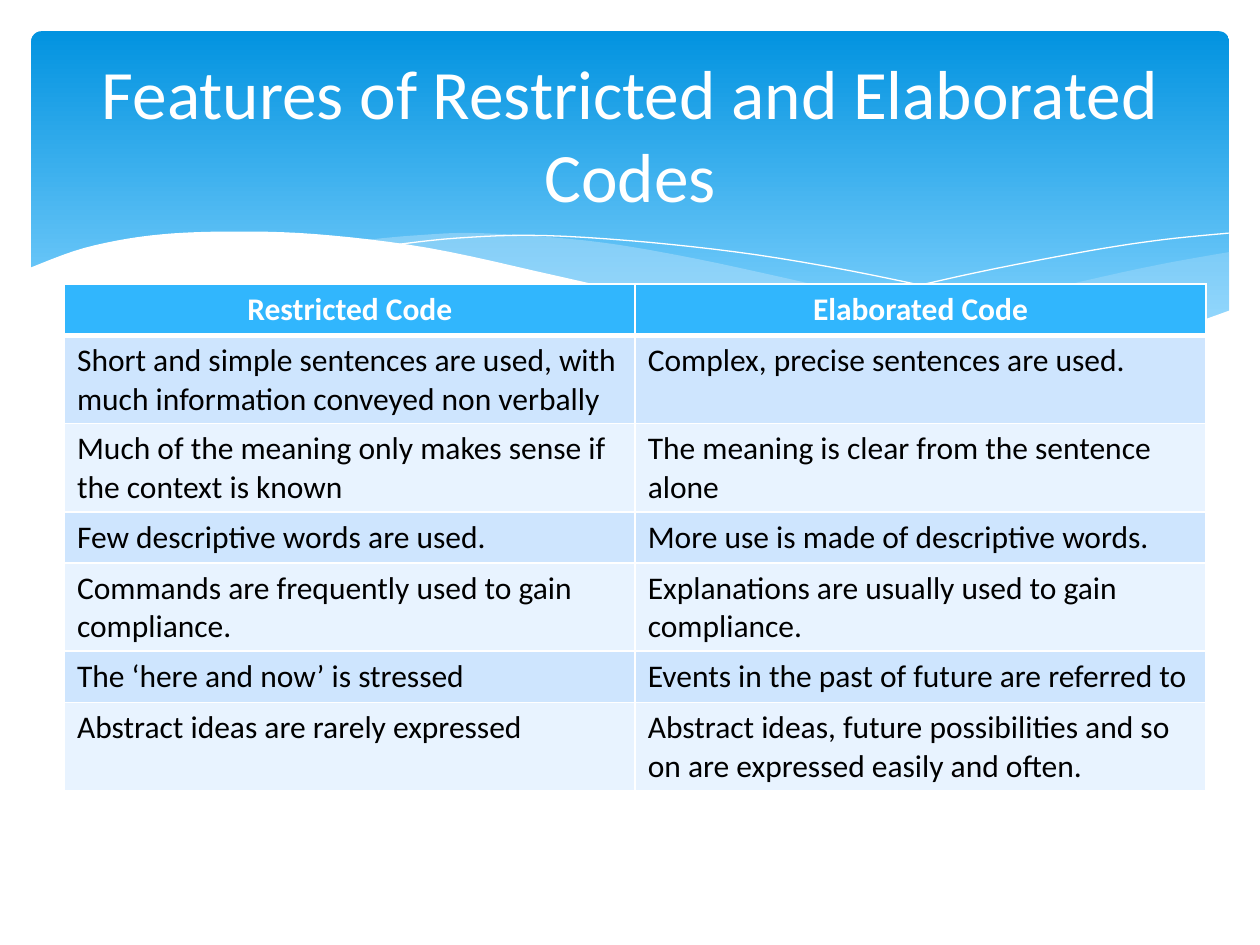
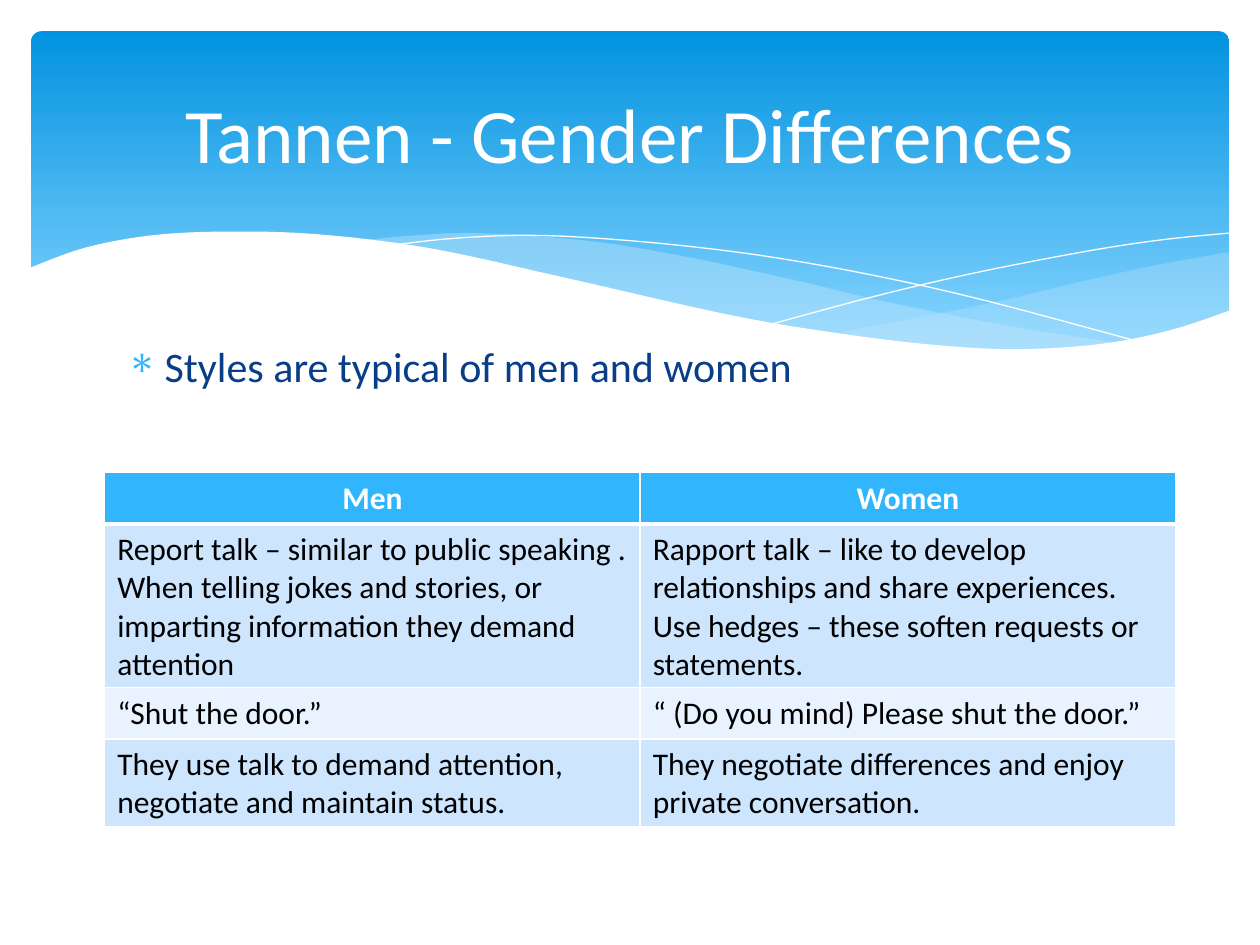
"""Build two slides comparing language codes and gendered talk under a shared wave banner."""
import pptx
import pptx.dml.color
import pptx.enum.shapes
import pptx.enum.text
import pptx.oxml
import pptx.oxml.ns
import pptx.util
from pptx.util import Cm

COLOURS = {
    "white": "FFFFFF",
    "black": "000000",
    "banner_top": "0293E0",
    "banner_bottom": "83D3FE",
    "swell": "C6E7FC",
    "accent": "31B6FD",
    "body": "073E87",
    "band_dark": "CEE5FE",
    "band_light": "E8F3FF",
}
FONT = "Calibri"

RIGHT_SWELL = [
    [(24.79, 5.08), (23.39, 5.33), (21.87, 5.66), (19.79, 6.15), (16.79, 6.73)],
    [(16.79, 6.73), (18.26, 6.91), (20.4, 7.06), (22.38, 6.93), (23.75, 6.65), (24.79, 6.27)],
]
MIDDLE_SWELL = [
    [(22.68, 6.93), (20.5, 6.6), (17.93, 6.1), (15.98, 5.64), (13.74, 5.16),
     (11.81, 4.85), (9.65, 4.7), (8.33, 4.75), (7.26, 4.85)],
    [(7.26, 4.85), (9.19, 5.16), (11.4, 5.64), (14.38, 6.3), (16.51, 6.71),
     (18.69, 6.99), (20.5, 7.06), (22.68, 6.93)],
]
FALLING_LINE = [
    [(7.85, 4.95), (9.22, 4.8), (11, 4.75), (13.54, 4.93), (16.15, 5.28), (19.3, 5.92), (23.04, 6.91)],
]
RISING_LINE = [
    [(15.57, 6.53), (17.65, 5.97), (19.71, 5.49), (22, 5.05), (23.47, 4.83), (24.77, 4.7)],
]
WHITE_WAVE = [
    [(24.82, 6.25), (23.62, 6.65), (22.23, 6.93), (20.55, 7.04), (18.9, 6.96),
     (16.97, 6.73), (14.71, 6.35), (11.35, 5.59), (8.64, 5), (6.35, 4.72),
     (4.5, 4.67), (3.02, 4.75), (1.7, 5), (0.58, 5.41)],
    [(0.58, 8.36)],
    [(24.82, 8.36)],
]

CODE_ROWS = [
    ("Restricted Code", "Elaborated Code"),
    ("Short and simple sentences are used, with much information conveyed non verbally",
     "Complex, precise sentences are used."),
    ("Much of the meaning only makes sense if the context is known",
     "The meaning is clear from the sentence alone"),
    ("Few descriptive words are used.", "More use is made of descriptive words."),
    ("Commands are frequently used to gain compliance.",
     "Explanations are usually used to gain compliance."),
    ("The ‘here and now’ is stressed", "Events in the past of future are referred to"),
    ("Abstract ideas are rarely expressed",
     "Abstract ideas, future possibilities and so on are expressed easily and often."),
]
GENDER_ROWS = [
    ("Men", "Women"),
    ("Report talk – similar to public speaking . When telling jokes and stories, "
     "or imparting information they demand attention",
     "Rapport talk – like to develop relationships and share experiences. "
     "Use hedges – these soften requests or statements."),
    ("“Shut the door.”", "“ (Do you mind) Please shut the door.”"),
    ("They use talk to demand attention, negotiate and maintain status.",
     "They negotiate differences and enjoy private conversation."),
]


def colour(name):
    return pptx.dml.color.RGBColor.from_string(COLOURS[name])


def smooth(knots, steps=6):
    padded = [knots[0], *knots, knots[-1]]
    points = [knots[0]]
    for before, start, end, after in zip(padded, padded[1:], padded[2:], padded[3:]):
        for step in range(1, steps + 1):
            t = step / steps
            points.append(tuple(
                (2 * b + (c - a) * t + (2 * a - 5 * b + 4 * c - d) * t ** 2
                 + (3 * b - a - 3 * c + d) * t ** 3) / 2
                for a, b, c, d in zip(before, start, end, after)))
    return points


def add_element(parent, tag, **attributes):
    element = pptx.oxml.parse_xml(f"<a:{tag} {pptx.oxml.ns.nsdecls('a')}/>")
    for name, value in attributes.items():
        element.set(name, str(value))
    parent.append(element)
    return element


class SlideWriter:
    def __init__(self, deck):
        self.deck = deck
        self.page = None

    def start_page(self, title, size):
        self.page = self.deck.slides.add_slide(self.deck.slide_layouts[6])
        self.banner()
        self.wave(RIGHT_SWELL, fill="swell", opacity=29)
        self.wave(MIDDLE_SWELL, fill="swell", opacity=40)
        self.wave(FALLING_LINE)
        self.wave(RISING_LINE)
        self.wave(WHITE_WAVE, fill="white")
        self.title(title, size)

    def banner(self):
        shape = self.page.shapes.add_shape(
            pptx.enum.shapes.MSO_SHAPE.ROUNDED_RECTANGLE, Cm(0.63), Cm(0.63), Cm(24.15), Cm(6.86))
        shape.adjustments[0] = 0.03
        shape.shadow.inherit = False
        shape.line.fill.background()
        shape.fill.gradient()
        shape.fill.gradient_angle = 270
        stops = zip(shape.fill.gradient_stops, ("banner_top", "banner_bottom"), (0, 0.9))
        for stop, name, position in stops:
            stop.color.rgb = colour(name)
            stop.position = position

    def wave(self, curves, fill=None, opacity=100):
        points = [(Cm(x), Cm(y)) for knots in curves for x, y in smooth(knots)]
        builder = self.page.shapes.build_freeform(*points[0])
        builder.add_line_segments(points[1:], close=fill is not None)
        shape = builder.convert_to_shape()
        shape.shadow.inherit = False
        if fill is None:
            shape.fill.background()
            shape.line.color.rgb = colour("white")
            shape.line.width = 0
            return
        shape.line.fill.background()
        shape.fill.solid()
        shape.fill.fore_color.rgb = colour(fill)
        if opacity < 100:
            tint = shape._element.spPr.find(".//" + pptx.oxml.ns.qn("a:srgbClr"))
            add_element(tint, "alpha", val=opacity * 1000)

    def style(self, paragraph, size, name, bold=False):
        paragraph.font.name = FONT
        paragraph.font.size = pptx.util.Pt(size)
        paragraph.font.bold = bold
        paragraph.font.color.rgb = colour(name)

    def text_box(self, text, left, top, width, height):
        box = self.page.shapes.add_textbox(Cm(left), Cm(top), Cm(width), Cm(height))
        box.text_frame.word_wrap = True
        paragraph = box.text_frame.paragraphs[0]
        paragraph.text = text
        return box.text_frame, paragraph

    def title(self, text, size):
        frame, paragraph = self.text_box(text, 1.27, 0.94, 22.86, 3.48)
        frame.vertical_anchor = pptx.enum.text.MSO_ANCHOR.MIDDLE
        paragraph.alignment = pptx.enum.text.PP_ALIGN.CENTER
        self.style(paragraph, size, "white")

    def bullet(self, text):
        paragraph = self.text_box(text, 2.31, 6.73, 20.57, 9.58)[1]
        properties = paragraph._p.get_or_add_pPr()
        properties.set("marL", str(Cm(0.76)))
        properties.set("indent", str(Cm(-0.76)))
        bullet_colour = add_element(properties, "buClr")
        add_element(bullet_colour, "srgbClr", val=COLOURS["accent"])
        add_element(properties, "buChar", char="∗")
        self.style(paragraph, 24, "body")

    def borders(self, cell, top, bottom):
        properties = cell._tc.get_or_add_tcPr()
        for side, width in (("L", 1), ("R", 1), ("T", top), ("B", bottom)):
            line = add_element(properties, f"ln{side}", w=pptx.util.Pt(width))
            add_element(add_element(line, "solidFill"), "srgbClr", val=COLOURS["white"])

    def table(self, rows, left, top, width):
        row_height = Cm(1.03)
        grid = self.page.shapes.add_table(
            len(rows), 2, Cm(left), Cm(top), Cm(width), row_height * len(rows)).table
        for index, texts in enumerate(rows):
            header = index == 0
            band = "accent" if header else ("band_light", "band_dark")[index % 2]
            for column, text in enumerate(texts):
                cell = grid.cell(index, column)
                self.borders(cell, top=3 if index == 1 else 1, bottom=3 if header else 1)
                cell.fill.solid()
                cell.fill.fore_color.rgb = colour(band)
                cell.text = text
                paragraph = cell.text_frame.paragraphs[0]
                if header:
                    paragraph.alignment = pptx.enum.text.PP_ALIGN.CENTER
                self.style(paragraph, 18, "white" if header else "black", bold=header)


def main():
    deck = pptx.Presentation()
    deck.slide_width, deck.slide_height = Cm(25.4), Cm(19.05)
    writer = SlideWriter(deck)

    writer.start_page("Features of Restricted and Elaborated Codes", 39.6)
    writer.table(CODE_ROWS, 1.3, 5.73, 23.01)

    writer.start_page("Tannen - Gender Differences", 44)
    writer.bullet("Styles are typical of men and women")
    writer.table(GENDER_ROWS, 2.11, 9.53, 21.59)

    deck.save("out.pptx")


if __name__ == "__main__":
    main()
